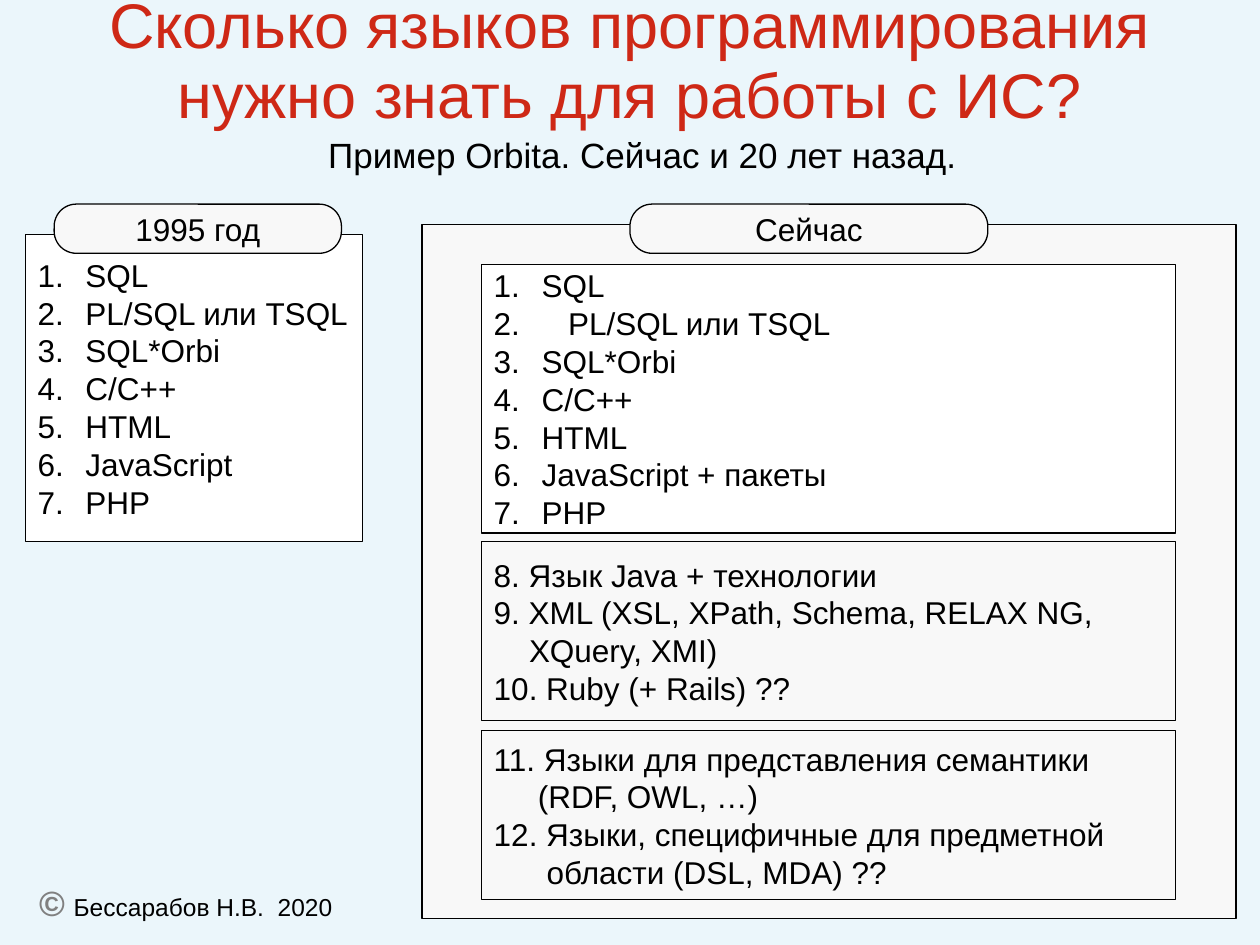
"""Build a slide comparing the languages needed for information systems in 1995 and now."""
from lxml import etree
from pptx import Presentation
from pptx.dml.color import RGBColor
from pptx.enum.shapes import MSO_SHAPE as Shape
from pptx.enum.text import MSO_ANCHOR as Anchor, PP_ALIGN as Align
from pptx.oxml.ns import qn
from pptx.util import Inches, Pt

BACKGROUND = RGBColor(0xEB, 0xF6, 0xFB)
RED = RGBColor(0xCE, 0x28, 0x16)
BLACK = RGBColor(0, 0, 0)
GRAY = RGBColor(0x80, 0x80, 0x80)
WHITE = RGBColor(0xFF, 0xFF, 0xFF)
PALE = RGBColor(0xF8, 0xF8, 0xF8)


def write(box, lines, size=18, color=BLACK, align=Align.LEFT, anchor=Anchor.MIDDLE,
          spacing=1.0, numbered=False, right=0.1):
    frame = box.text_frame
    frame.word_wrap = True
    frame.vertical_anchor = anchor
    frame.margin_right = Inches(right)
    for index, (text, indent) in enumerate(lines):
        para = frame.paragraphs[0] if index == 0 else frame.add_paragraph()
        para.alignment = align
        para.line_spacing = spacing
        props = para._p.get_or_add_pPr()
        props.set("marL", str(Inches(indent)))
        props.set("indent", str(Inches(-indent if numbered else 0)))
        if numbered:
            etree.SubElement(props, qn("a:buFont"), typeface="Arial")
            etree.SubElement(props, qn("a:buAutoNum"), type="arabicPeriod")
        span = para.add_run()
        span.text = text
        span.font.name = "Arial"
        span.font.size = Pt(size)
        span.font.color.rgb = color


def outline(kind, left, top, width, height, fill=None):
    shape = page.shapes.add_shape(kind, Inches(left), Inches(top), Inches(width), Inches(height))
    shape.shadow.inherit = False
    if fill is None:
        shape.fill.background()
    else:
        shape.fill.solid()
        shape.fill.fore_color.rgb = fill
    shape.line.color.rgb = BLACK
    shape.line.width = Pt(0.75)
    return shape


deck = Presentation()
deck.slide_width = Inches(10)
deck.slide_height = Inches(7.5)
page = deck.slides.add_slide(deck.slide_layouts[6])
page.background.fill.solid()
page.background.fill.fore_color.rgb = BACKGROUND

title = page.shapes.add_textbox(Inches(0), Inches(0), Inches(10), Inches(0.99))
write(title, [("Сколько языков программирования нужно знать для работы с ИС?", 0)],
      size=36, color=RED, align=Align.CENTER, spacing=0.93)
subtitle = page.shapes.add_textbox(Inches(0.2), Inches(1.07), Inches(9.8), Inches(0.39))
write(subtitle, [("Пример Orbita. Сейчас и 20 лет назад.", 0)],
      size=20, align=Align.CENTER, anchor=Anchor.TOP, spacing=0.83)

credit = page.shapes.add_textbox(Inches(0), Inches(7.06), Inches(2.95), Inches(0.21))
write(credit, [("©", 0)], size=20, color=GRAY, align=Align.CENTER)
credit_para = credit.text_frame.paragraphs[0]
credit_para.runs[0].font.bold = True
for text, size in [(" ", 18), ("Бессарабов Н.В.  2020", 14)]:
    span = credit_para.add_run()
    span.text = text
    span.font.name = "Arial"
    span.font.size = Pt(size)
    span.font.color.rgb = BLACK

past_languages = ["SQL", "PL/SQL или TSQL", "SQL*Orbi", "C/C++", "HTML", "JavaScript", "PHP"]
past_box = outline(Shape.RECTANGLE, 0.2, 1.86, 2.68, 2.44, WHITE)
write(past_box, [(name, 0.38) for name in past_languages], numbered=True, right=0)

outline(Shape.RECTANGLE, 3.35, 1.78, 6.46, 5.51, PALE)
for text, left, width in [("1995 год", 0.43, 2.28), ("Сейчас", 5, 2.84)]:
    label = outline(Shape.ROUNDED_RECTANGLE, left, 1.62, width, 0.39, PALE)
    label.adjustments[0] = 0.45
    write(label, [(text, 0)], align=Align.CENTER)

current_languages = [
    ("SQL", 0.38), ("PL/SQL или TSQL", 0.59), ("SQL*Orbi", 0.38), ("C/C++", 0.38),
    ("HTML", 0.38), ("JavaScript + пакеты", 0.38), ("PHP", 0.38),
]
added_languages = [
    ("8. Язык Java + технологии", 0),
    ("9. XML (XSL, XPath, Schema, RELAX NG,", 0),
    ("XQuery, XMI)", 0.28),
    ("10. Ruby (+ Rails) ??", 0),
]
special_languages = [
    ("11. Языки для представления семантики", 0),
    ("(RDF, OWL, …)", 0.35),
    ("12. Языки, специфичные для предметной", 0),
    ("области (DSL, MDA) ??", 0.42),
]
for lines, top, height, fill, numbered in [
    (current_languages, 2.1, 2.13, WHITE, True),
    (added_languages, 4.3, 1.42, None, False),
    (special_languages, 5.8, 1.34, None, False),
]:
    group_box = outline(Shape.RECTANGLE, 3.82, top, 5.51, height, fill)
    write(group_box, lines, numbered=numbered)

deck.save("out.pptx")
